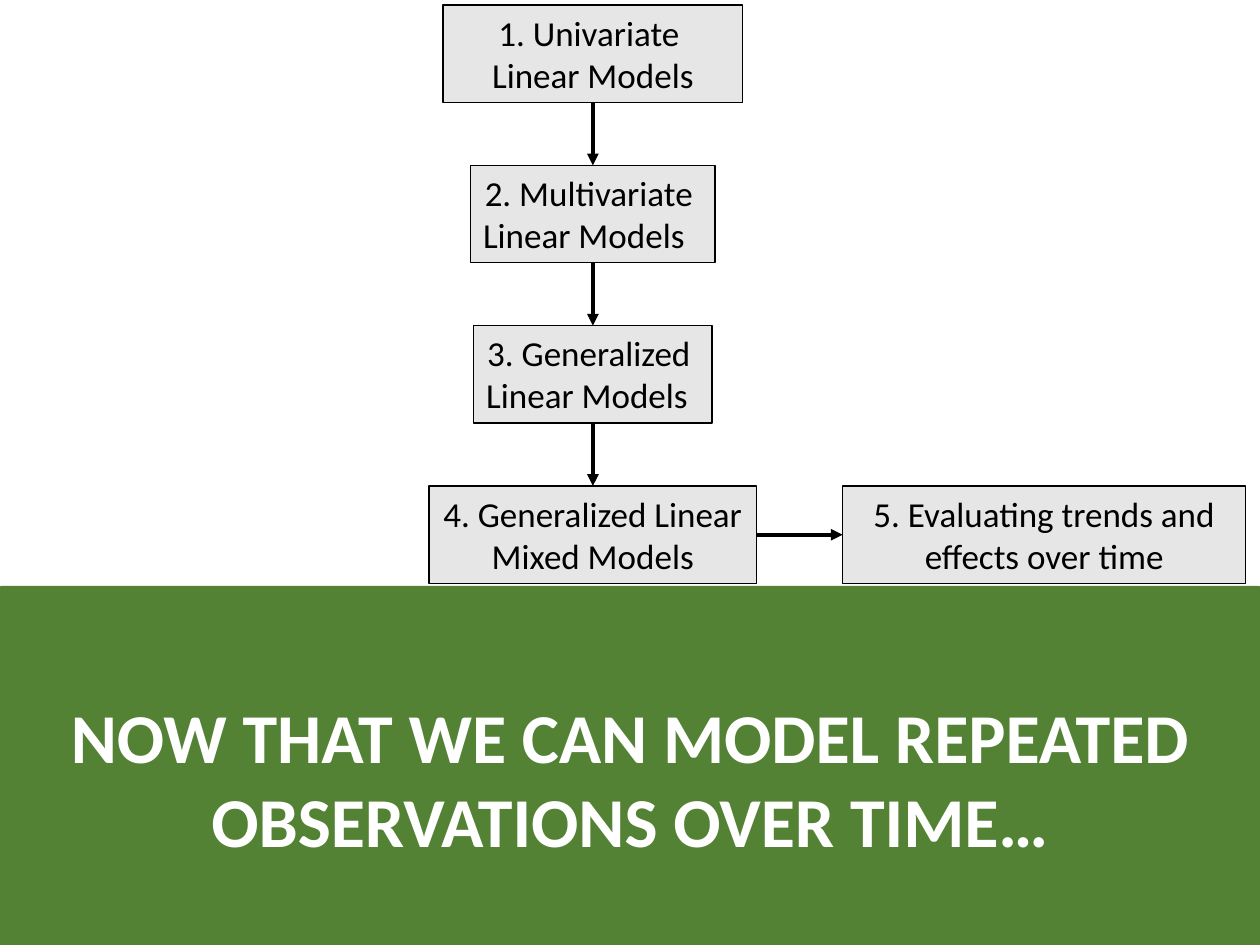
import lxml.etree
import pptx
import pptx.dml.color
import pptx.enum.shapes
import pptx.enum.text
import pptx.oxml.ns
import pptx.util

Pt = pptx.util.Pt
ALIGN = pptx.enum.text.PP_ALIGN
SHAPE = pptx.enum.shapes.MSO_SHAPE
CENTER, LEFT = ALIGN.CENTER, ALIGN.LEFT

# Content: width, wrapping, and lines with their alignment
COLUMN_STEPS = [
    (171.4, True, [("1. Univariate ", CENTER), ("Linear Models", CENTER)]),
    (139.7, False, [("2. Multivariate ", CENTER), ("Linear Models", LEFT)]),
    (136.1, False, [("3. Generalized ", CENTER), ("Linear Models", LEFT)]),
    (187.2, False, [("4. Generalized Linear", CENTER), ("Mixed Models", CENTER)]),
]
SIDE_STEP = (230.4, True, [("5. Evaluating trends and effects over time", CENTER)])
BANNER = [("NOW THAT WE CAN MODEL REPEATED OBSERVATIONS OVER TIME…", CENTER)]

THEME = {
    "font": "Calibri", "step_size": 20, "banner_size": 40,
    "step_fill": "E7E6E6", "banner_fill": "548235",
    "ink": "000000", "banner_text": "FFFFFF",
    "outline": 0.75, "arrow": 2.25,
}

# Layout
SLIDE_WIDTH, SLIDE_HEIGHT = 720, 540
COLUMN_CENTER, FIRST_TOP, PITCH = 338.8, 2.9, 91.6
STEP_HEIGHT = 55.7
SIDE_LEFT = 481.5
BANNER_TOP, BANNER_HEIGHT = 334.8, 218.9


def color(name):
    return pptx.dml.color.RGBColor.from_string(THEME[name])


def add_box(slide, kind, bounds, fill, lines, size, ink, wrap=True, bold=False):
    shape = slide.shapes.add_shape(kind, *(Pt(value) for value in bounds))
    shape.shadow.inherit = False
    shape.fill.solid()
    shape.fill.fore_color.rgb = color(fill)
    frame = shape.text_frame
    frame.word_wrap = wrap
    for index, (text, alignment) in enumerate(lines):
        paragraph = frame.add_paragraph() if index else frame.paragraphs[0]
        paragraph.text = text
        paragraph.alignment = alignment
        paragraph.font.name = THEME["font"]
        paragraph.font.size = Pt(THEME[size])
        paragraph.font.bold = bold
        paragraph.font.color.rgb = color(ink)
    return shape


def add_step(slide, left, top, width, wrap, lines):
    shape = add_box(slide, SHAPE.RECTANGLE, (left, top, width, STEP_HEIGHT),
                    "step_fill", lines, "step_size", "ink", wrap)
    shape.line.color.rgb = color("ink")
    shape.line.width = Pt(THEME["outline"])
    shape.text_frame.vertical_anchor = pptx.enum.text.MSO_ANCHOR.TOP
    return shape


def add_arrow(slide, source, source_side, target, target_side):
    connector = slide.shapes.add_connector(
        pptx.enum.shapes.MSO_CONNECTOR.STRAIGHT, 0, 0, 0, 0)
    connector.begin_connect(source, source_side)
    connector.end_connect(target, target_side)
    connector.line.color.rgb = color("ink")
    connector.line.width = Pt(THEME["arrow"])
    qualified = pptx.oxml.ns.qn
    properties = connector.element.find(qualified("p:spPr"))
    line = properties.find(qualified("a:ln"))
    lxml.etree.SubElement(line, qualified("a:tailEnd"), type="triangle")
    lxml.etree.SubElement(properties, qualified("a:effectLst"))


def main():
    presentation = pptx.Presentation()
    presentation.slide_width = Pt(SLIDE_WIDTH)
    presentation.slide_height = Pt(SLIDE_HEIGHT)
    slide = presentation.slides.add_slide(presentation.slide_layouts[6])

    # Title banner
    banner = add_box(slide, SHAPE.ROUNDED_RECTANGLE,
                     (0, BANNER_TOP, SLIDE_WIDTH, BANNER_HEIGHT),
                     "banner_fill", BANNER, "banner_size", "banner_text", bold=True)
    banner.adjustments[0] = 0.003
    banner.line.fill.background()
    banner.text_frame.vertical_anchor = pptx.enum.text.MSO_ANCHOR.MIDDLE

    # Column of model steps, then the step beside the last one
    steps = []
    for row, (width, wrap, lines) in enumerate(COLUMN_STEPS):
        top = FIRST_TOP + row * PITCH
        steps.append(add_step(slide, COLUMN_CENTER - width / 2, top, width, wrap, lines))
    side_step = add_step(slide, SIDE_LEFT, top, *SIDE_STEP)

    # Arrows
    for upper, lower in zip(steps, steps[1:]):
        add_arrow(slide, upper, 2, lower, 0)
    add_arrow(slide, steps[-1], 3, side_step, 1)

    presentation.save("out.pptx")


if __name__ == "__main__":
    main()
